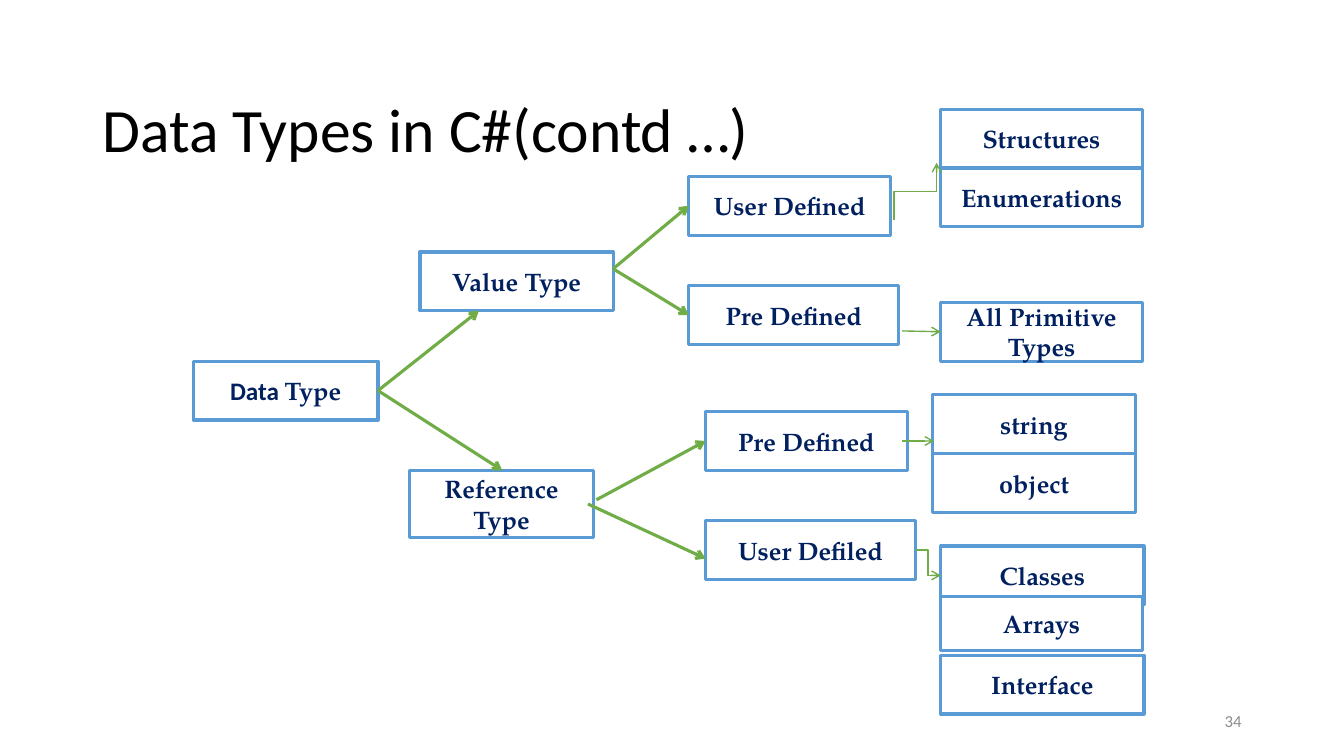
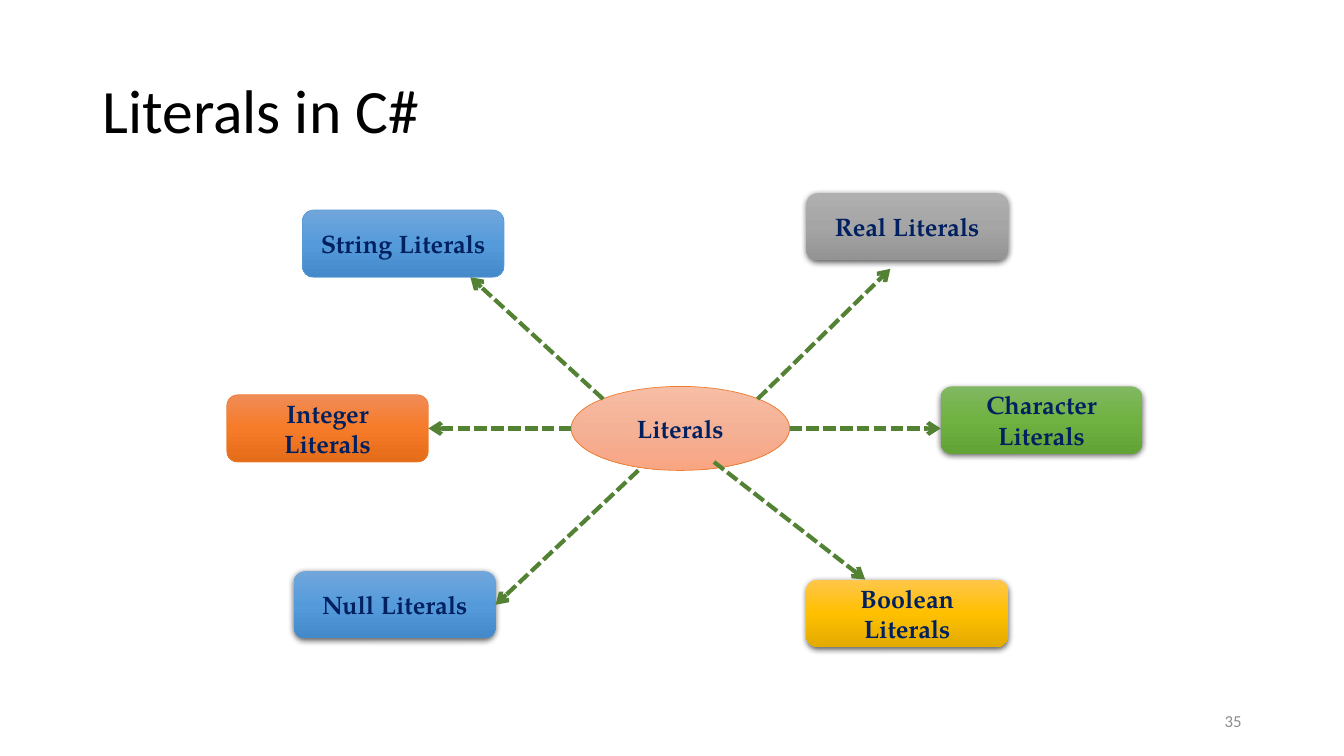
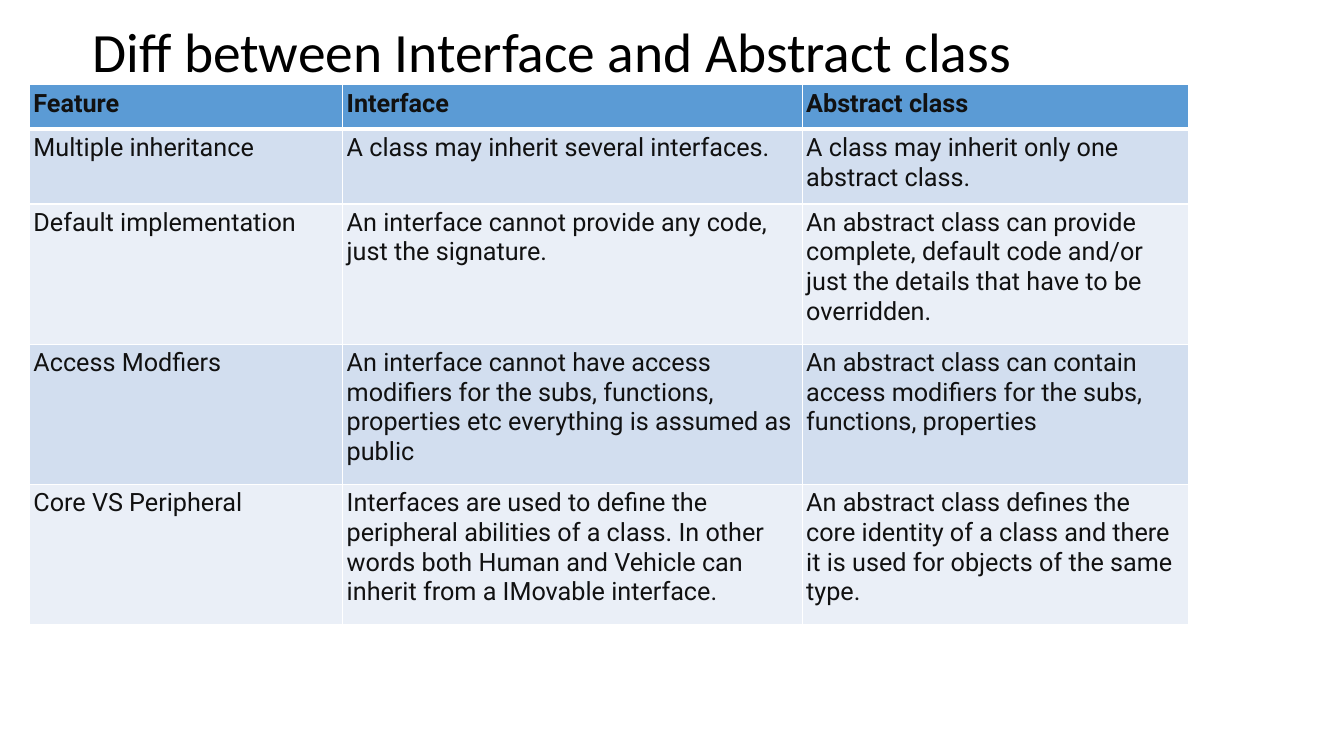
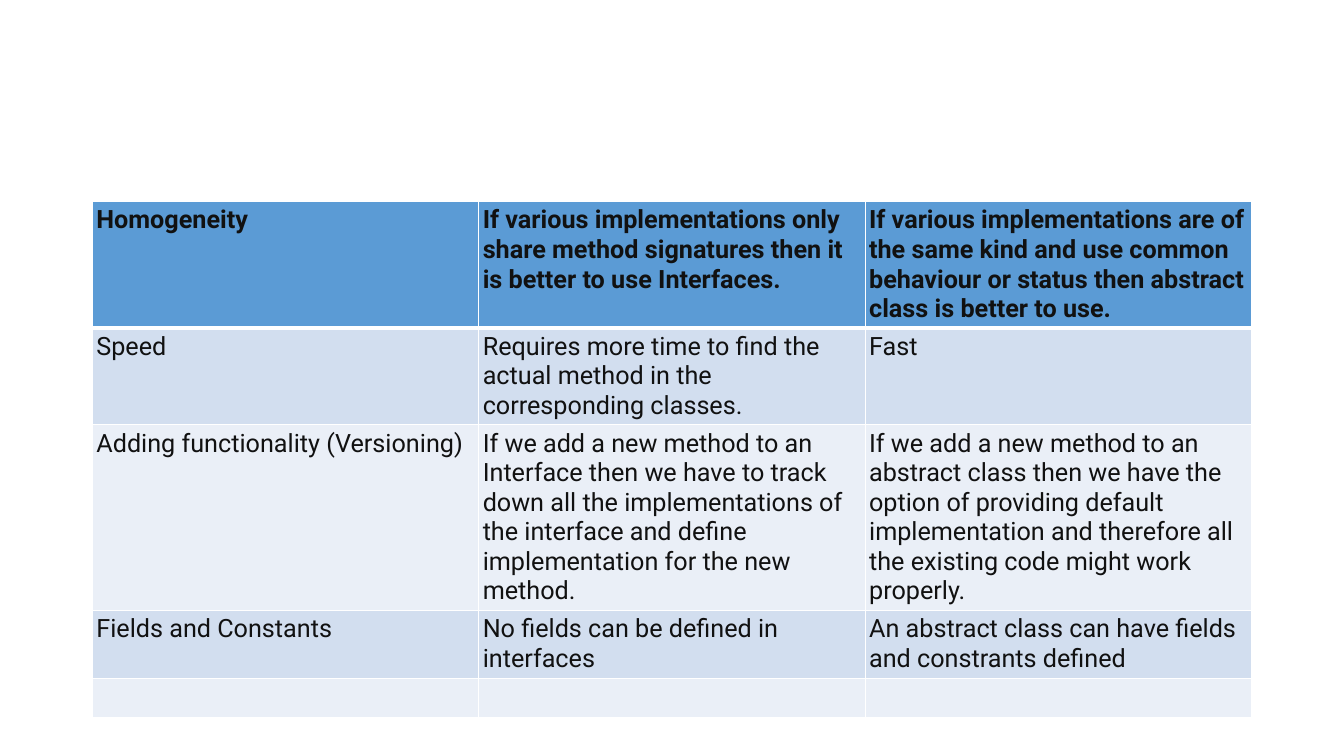
from copy import deepcopy
from dataclasses import dataclass

from lxml import etree
from pptx import Presentation
from pptx import util as u
from pptx.dml.color import RGBColor
from pptx.enum import dml, shapes, text
from pptx.oxml.ns import qn


@dataclass(frozen=True)
class Theme:
    black: str = "000000"
    white: str = "FFFFFF"
    navy: str = "002060"
    blue: str = "5B9BD5"
    orange: str = "ED7D31"
    green: str = "70AD47"
    dark_green: str = "548235"
    grey: str = "8C8C8C"
    cell_text: str = "111111"
    bands: tuple = ("D2DEEF", "EAEFF7")
    blue_shade: tuple = ("71A6DB", "559BDB", "448ACA")
    orange_shade: tuple = ("F18C57", "F67B28", "E56C19")
    peach_shade: tuple = ("F7BDA5", "F5B196", "F8A582")
    grey_shade: tuple = ("AFAFAF", "A5A5A5", "939393")
    gold_shade: tuple = ("FFC64B", "FFC000", "E3AB00")
    green_shade: tuple = ("81B861", "6FB242", "62A336")
    plain_font: str = "Calibri"
    label_font: str = "TeX Gyre Pagella"
    table_font: str = "Roboto"
    title_size: float = 44
    small_title_size: float = 39.6
    body_size: float = 18
    number_size: float = 12


THEME = Theme()
COLUMNS, ROWS = 160, 90
CELLS_PER_INCH = 12

TYPE_BOXES = [
    ("Value Type", 50, 30, 23, 7),
    ("Reference Type", 48.7, 56, 22, 8),
    ("User Defined", 82, 21, 24, 7),
    ("Pre Defined", 82, 34, 25, 7),
    ("Pre Defined", 84, 49, 24, 7),
    ("User Defiled", 84, 62, 25, 7),
    ("Structures", 112, 13, 24, 7),
    ("Enumerations", 112, 20, 24, 7),
    ("All Primitive Types", 112, 36, 24, 7),
    ("string", 111, 47, 24.2, 7),
    ("object", 111, 54, 24.2, 7),
    ("Classes", 112, 65, 24.2, 7),
    ("Arrays", 112, 71, 24, 6.4),
    ("Interface", 112, 78, 24.2, 7),
]
TYPE_BRANCHES = [
    ((45, 46.5), (57, 37)),
    ((45, 46.5), (59.8, 56)),
    ((73, 32), (82, 24.5)),
    ((73, 32), (82, 37.5)),
    ((71, 59.5), (84, 52.5)),
    ((70, 60), (84, 66.5)),
]
TYPE_LEAVES = [
    ((107.4, 39.4), (112, 39.5)),
    ((107.4, 52.5), (111.2, 52.5)),
]

LITERALS = [
    ("Real Literals", 96, 23, THEME.grey_shade, None),
    ("Boolean Literals", 96, 69, THEME.gold_shade, None),
    ("Character Literals", 112, 46, THEME.green_shade, None),
    ("String Literals", 36, 25, THEME.blue_shade, THEME.blue),
    ("Integer Literals", 27, 47, THEME.orange_shade, THEME.orange),
    ("Null Literals", 35, 68, THEME.blue_shade, None),
]
LITERAL_ARROWS = [
    ((71.8, 47.5), (56, 33)),
    ((90.2, 47.5), (106, 32)),
    ((68, 51), (51, 51)),
    ((94, 51), (112, 51)),
    ((85, 55), (103, 69)),
    ((76, 56), (59, 72)),
]

COMPARISON = [
    ("Feature", "Interface", "Abstract class"),
    ("Multiple inheritance",
     "A class may inherit several interfaces.",
     "A class may inherit only one abstract class."),
    ("Default implementation",
     "An interface cannot provide any code, just the signature.",
     "An abstract class can provide complete, default code and/or just the "
     "details that have to be overridden."),
    ("Access Modfiers",
     "An interface cannot have access modifiers for the subs, functions, "
     "properties etc everything is assumed as public",
     "An abstract class can contain access modifiers for the subs, functions, "
     "properties"),
    ("Core VS Peripheral",
     "Interfaces are used to define the peripheral abilities of a class. In "
     "other words both Human and Vehicle can inherit from a IMovable interface.",
     "An abstract class defines the core identity of a class and there it is "
     "used for objects of the same type."),
]
COMPARISON_MORE = [
    ("Homogeneity",
     "If various implementations only share method signatures then it is "
     "better to use Interfaces.",
     "If various implementations are of the same kind and use common "
     "behaviour or status then abstract class is better to use."),
    ("Speed",
     "Requires more time to find the actual method in the corresponding "
     "classes.",
     "Fast"),
    ("Adding functionality (Versioning)",
     "If we add a new method to an Interface then we have to track down all "
     "the implementations of the interface and define implementation for the "
     "new method.",
     "If we add a new method to an abstract class then we have the option of "
     "providing default implementation and therefore all the existing code "
     "might work properly."),
    ("Fields and Constants",
     "No fields can be defined in interfaces",
     "An abstract class can have fields and constrants defined"),
    ("", "", ""),
]


def grid(*cells):
    return [u.Inches(cell / CELLS_PER_INCH) for cell in cells]


def rgb(colour):
    return RGBColor.from_string(colour)


def add_run(paragraph, words, font=THEME.label_font, size=THEME.body_size,
            colour=THEME.navy, bold=True):
    run = paragraph.add_run()
    run.text = words
    run.font.name = font
    run.font.size = u.Pt(size)
    run.font.bold = bold
    run.font.color.rgb = rgb(colour)


def add_slide(presentation, title=None, top=4.8, left=11, height=17.4,
              size=THEME.title_size, spacing=0.9):
    layout = presentation.slide_layouts[5 if title else 6]
    slide = presentation.slides.add_slide(layout)
    if title:
        shape = slide.shapes.title
        shape.left, shape.top, shape.width, shape.height = grid(left, top, 138, height)
        frame = shape.text_frame
        frame.auto_size = text.MSO_AUTO_SIZE.NONE
        frame.vertical_anchor = text.MSO_ANCHOR.MIDDLE
        paragraph = frame.paragraphs[0]
        paragraph.alignment = text.PP_ALIGN.LEFT
        paragraph.line_spacing = spacing
        add_run(paragraph, title, font=THEME.plain_font, size=size,
                colour=THEME.black, bold=False)
    return slide


def add_number(slide, number):
    frame = slide.shapes.add_textbox(*grid(113, 83.4, 36, 4.8)).text_frame
    frame.word_wrap = True
    frame.vertical_anchor = text.MSO_ANCHOR.MIDDLE
    paragraph = frame.paragraphs[0]
    paragraph.alignment = text.PP_ALIGN.RIGHT
    add_run(paragraph, str(number), font=THEME.plain_font,
            size=THEME.number_size, colour=THEME.grey, bold=False)


def fill_gradient(shape, colours):
    shape.fill.gradient()
    shape.fill.gradient_angle = 270
    stop_list = shape.element.spPr.find(".//" + qn("a:gsLst"))
    stop_list.append(deepcopy(stop_list[-1]))
    for index, (stop, colour) in enumerate(zip(shape.fill.gradient_stops, colours)):
        stop.color.rgb = rgb(colour)
        stop.position = index / (len(colours) - 1)


def add_shadow(shape):
    effects = shape.element.spPr.find(qn("a:effectLst"))
    shadow = etree.SubElement(effects, qn("a:outerShdw"), blurRad=str(u.Pt(4.5)),
                              dist=str(u.Pt(1.5)), dir="5400000",
                              algn="ctr", rotWithShape="0")
    colour = etree.SubElement(shadow, qn("a:srgbClr"), val=THEME.black)
    etree.SubElement(colour, qn("a:alpha"), val="63000")


def add_box(slide, words, left, top, width, height, kind="RECTANGLE",
            shade=None, line=THEME.blue, line_width=2.25, font=THEME.label_font):
    shape = slide.shapes.add_shape(shapes.MSO_SHAPE[kind],
                                   *grid(left, top, width, height))
    shape.shadow.inherit = False
    if shade:
        fill_gradient(shape, shade)
    else:
        shape.fill.solid()
        shape.fill.fore_color.rgb = rgb(THEME.white)
    if line:
        shape.line.color.rgb = rgb(line)
        shape.line.width = u.Pt(line_width)
    else:
        shape.line.fill.background()
        add_shadow(shape)
    frame = shape.text_frame
    frame.word_wrap = True
    frame.vertical_anchor = text.MSO_ANCHOR.MIDDLE
    paragraph = frame.paragraphs[0]
    paragraph.alignment = text.PP_ALIGN.CENTER
    add_run(paragraph, words, font=font)
    return shape


def add_arrow(slide, start, end, kind="STRAIGHT", colour=THEME.green,
              width=2.25, dash=None, upright=False):
    if upright:
        centre_x, centre_y = (start[0] + end[0]) / 2, (start[1] + end[1]) / 2
        start, end = [(centre_x + y - centre_y, centre_y - x + centre_x)
                      for x, y in (start, end)]
    arrow = slide.shapes.add_connector(shapes.MSO_CONNECTOR[kind], *grid(*start, *end))
    arrow.line.color.rgb = rgb(colour)
    arrow.line.width = u.Pt(width)
    if dash:
        arrow.line.dash_style = dash
    properties = arrow.element.spPr
    if upright:
        properties.find(qn("a:xfrm")).set("rot", str(90 * 60000))
    etree.SubElement(properties.find(qn("a:ln")), qn("a:tailEnd"), type="arrow")
    etree.SubElement(properties, qn("a:effectLst"))


def add_borders(cell, bottom):
    properties = cell._tc.get_or_add_tcPr()
    for index, (side, width) in enumerate(zip("LRTB", (1, 1, 1, bottom))):
        border = etree.Element(qn("a:ln" + side), w=str(u.Pt(width)))
        fill = etree.SubElement(border, qn("a:solidFill"))
        etree.SubElement(fill, qn("a:srgbClr"), val=THEME.white)
        properties.insert(index, border)


def add_table(slide, rows, left, top, widths, heights):
    table = slide.shapes.add_table(
        len(rows), len(widths),
        *grid(left, top, sum(widths), sum(heights))).table
    for column, width in zip(table.columns, grid(*widths)):
        column.width = width
    for row, height in zip(table.rows, grid(*heights)):
        row.height = height
    for row_index, row in enumerate(rows):
        header = row_index == 0
        for column_index, words in enumerate(row):
            cell = table.cell(row_index, column_index)
            cell.margin_left = cell.margin_right = u.Inches(0.04)
            cell.margin_top = cell.margin_bottom = u.Inches(0.04)
            cell.fill.solid()
            cell.fill.fore_color.rgb = rgb(
                THEME.blue if header else THEME.bands[(row_index - 1) % 2])
            add_borders(cell, bottom=3 if header else 1)
            if words:
                add_run(cell.text_frame.paragraphs[0], words,
                        font=THEME.table_font, colour=THEME.cell_text, bold=header)


def build_data_types(presentation):
    slide = add_slide(presentation, "Data Types in C#(contd …)", spacing=1.4)
    root = add_box(slide, "Data ", 23, 43, 22, 7, font=THEME.plain_font)
    add_run(root.text_frame.paragraphs[0], "Type")
    for box in TYPE_BOXES:
        add_box(slide, *box)
    for start, end in TYPE_BRANCHES:
        add_arrow(slide, start, end)
    for start, end in TYPE_LEAVES:
        add_arrow(slide, start, end, width=1)
    add_arrow(slide, (106.4, 26.2), (111.5, 19.4), kind="ELBOW", width=1, upright=True)
    add_arrow(slide, (109, 65.5), (112, 68.5), kind="ELBOW", width=1)
    add_number(slide, 34)


def build_literals(presentation):
    slide = add_slide(presentation, "Literals in C#")
    add_box(slide, "Literals", 68, 46, 26, 10, kind="OVAL",
            shade=THEME.peach_shade, line=THEME.orange, line_width=0.5)
    for words, left, top, shade, line in LITERALS:
        add_box(slide, words, left, top, 24, 8, kind="ROUNDED_RECTANGLE",
                shade=shade, line=line, line_width=0.5)
    for start, end in LITERAL_ARROWS:
        add_arrow(slide, start, end, colour=THEME.dark_green, width=3,
                  dash=dml.MSO_LINE.SQUARE_DOT)
    add_number(slide, 35)


def build_comparison(presentation):
    slide = add_slide(presentation, "Diff between Interface and Abstract class",
                      left=9.8, top=3, height=7, size=THEME.small_title_size)
    add_table(slide, COMPARISON, 3.5, 10.1, (37.3, 54.7, 46),
              (5.3, 8.9, 16.7, 16.7, 16.7))
    slide = add_slide(presentation)
    add_table(slide, COMPARISON_MORE, 11, 24, (46, 46, 46),
              (15, 11.5, 22.1, 8.1, 4.7))


def main():
    presentation = Presentation()
    presentation.slide_width, presentation.slide_height = grid(COLUMNS, ROWS)
    build_data_types(presentation)
    build_literals(presentation)
    build_comparison(presentation)
    presentation.save("out.pptx")


if __name__ == "__main__":
    main()
